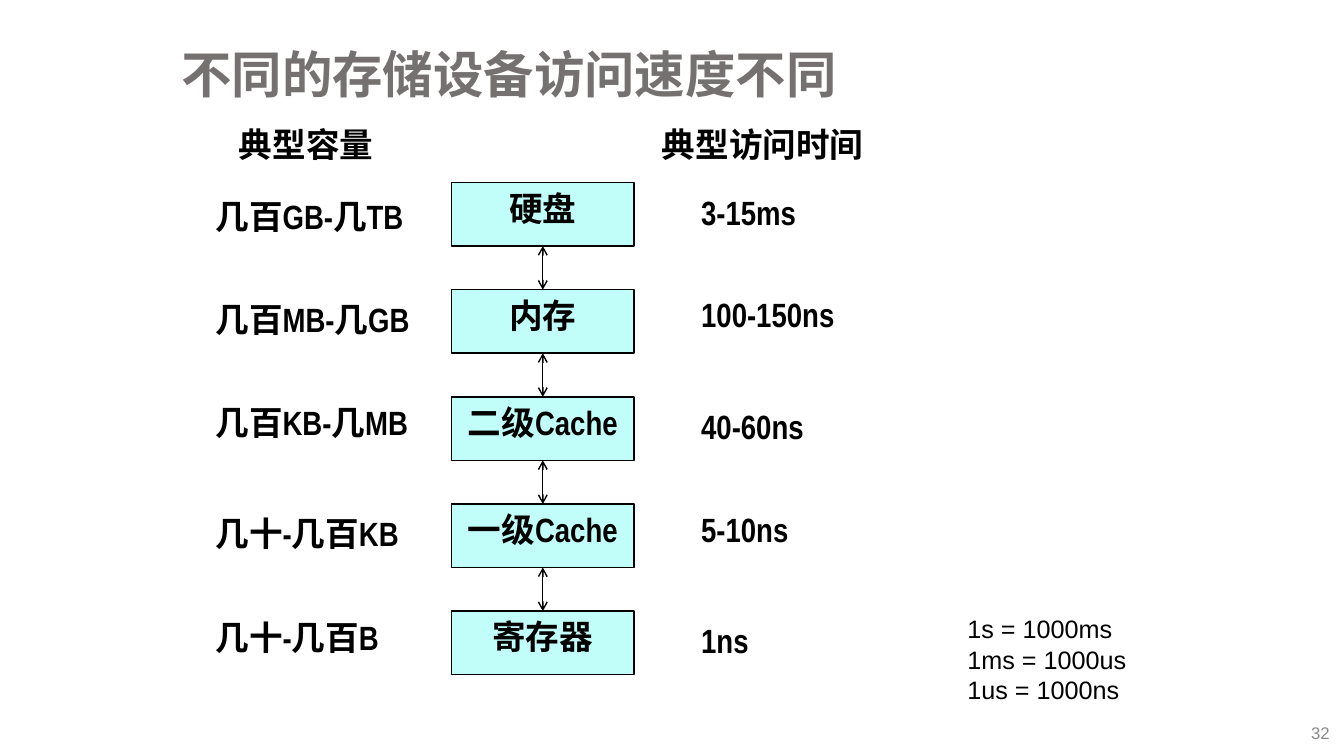
from lxml.etree import SubElement
from pptx import Presentation
from pptx.dml.color import RGBColor as Rgb
from pptx.enum.shapes import MSO_CONNECTOR as Link, MSO_SHAPE as Kind
from pptx.enum.text import MSO_ANCHOR as Anchor, PP_ALIGN as Align
from pptx.oxml.ns import qn
from pptx.util import Cm, Pt

COLORS = {
    "title": "767171",
    "page": "8C8C8C",
    "ink": "000000",
    "box": "C1FEF9",
}
BOX_LEFT, BOX_TOP, BOX_STEP = 11.38, 4.6, 2.7
BOX_WIDTH, BOX_HEIGHT = 4.6, 1.6
SIZE_LEFT, TIME_LEFT, ROW_HEIGHT = 5.18, 17.42, 1.27

# name, (capacity, top, width), (access time, top, width)
LEVELS = [
    ("硬盘", ("几百GB-几TB", 4.8, 5.31), ("3-15ms", 4.7, 2.95)),
    ("内存", ("几百MB-几GB", 7.42, 5.46), ("100-150ns", 7.29, 3.91)),
    ("二级Cache", ("几百KB-几MB", 10.01, 5.41), ("40-60ns", 10.11, 3.12)),
    ("一级Cache", ("几十-几百KB", 12.8, 5.18), ("5-10ns", 12.7, 2.74)),
    ("寄存器", ("几十-几百B", 15.42, 4.62), ("1ns", 15.49, 1.73)),
]
UNITS = ["1s = 1000ms", "1ms = 1000us", "1us = 1000ns"]


def color(name):
    return Rgb.from_string(COLORS[name])


def style(para, size=24, face="Arial Narrow", ink="ink", bold=True, align=Align.LEFT):
    para.alignment = align
    para.font.size = Pt(size)
    para.font.name = face
    para.font.bold = bold
    para.font.color.rgb = color(ink)


def add_text(slide, lines, left, top, width, height, wrap=True, anchor=Anchor.TOP, **look):
    area = slide.shapes.add_textbox(Cm(left), Cm(top), Cm(width), Cm(height))
    frame = area.text_frame
    frame.word_wrap = wrap
    frame.vertical_anchor = anchor
    frame.text = "\n".join(lines)
    for para in frame.paragraphs:
        style(para, **look)
    return frame


def add_box(slide, name, top):
    box = slide.shapes.add_shape(
        Kind.RECTANGLE, Cm(BOX_LEFT), Cm(top), Cm(BOX_WIDTH), Cm(BOX_HEIGHT))
    box.shadow.inherit = False
    box.fill.solid()
    box.fill.fore_color.rgb = color("box")
    box.line.color.rgb = color("ink")
    box.line.width = Pt(1)
    frame = box.text_frame
    frame.word_wrap = True
    frame.vertical_anchor = Anchor.TOP
    frame.text = name
    style(frame.paragraphs[0], align=Align.CENTER)
    return box


def add_arrow(slide, upper, lower):
    arrow = slide.shapes.add_connector(Link.STRAIGHT, 0, 0, 0, 0)
    arrow.begin_connect(upper, 2)
    arrow.end_connect(lower, 0)
    arrow.line.color.rgb = color("ink")
    arrow.line.width = Pt(1)
    line = arrow.line._get_or_add_ln()
    for end in ("a:headEnd", "a:tailEnd"):
        SubElement(line, qn(end), type="arrow")
    SubElement(arrow._element.spPr, qn("a:effectLst"))


def main():
    deck = Presentation()
    deck.slide_width, deck.slide_height = Cm(33.87), Cm(19.05)
    slide = deck.slides.add_slide(deck.slide_layouts[6])

    title = add_text(slide, ["不同的存储设备访问速度不同"], 4.32, 0.86, 28.58, 2.16,
                     anchor=Anchor.MIDDLE, size=36, face="Arial", ink="title")
    title.paragraphs[0].line_spacing = 0.9
    add_text(slide, ["32"], 26.14, 18.08, 7.62, 0.79, anchor=Anchor.MIDDLE,
             size=12, face="Arial", ink="page", bold=False, align=Align.RIGHT)
    add_text(slide, ["典型容量"], 5.77, 3, 3.94, ROW_HEIGHT, wrap=False)
    add_text(slide, ["典型访问时间"], 16.43, 3, 5.64, ROW_HEIGHT, wrap=False)

    boxes = []
    for row, (name, size, time) in enumerate(LEVELS):
        boxes.append(add_box(slide, name, BOX_TOP + row * BOX_STEP))
        text, top, width = size
        add_text(slide, [text], SIZE_LEFT, top, width, ROW_HEIGHT)
        text, top, width = time
        add_text(slide, [text], TIME_LEFT, top, width, ROW_HEIGHT, wrap=False)
    for upper, lower in zip(boxes, boxes[1:]):
        add_arrow(slide, upper, lower)

    units = add_text(slide, UNITS, 22.53, 15.34, 7.95, 2.57,
                     size=18, face="Arial", bold=False)
    units.margin_left = Cm(1.85)
    deck.save("out.pptx")


if __name__ == "__main__":
    main()
